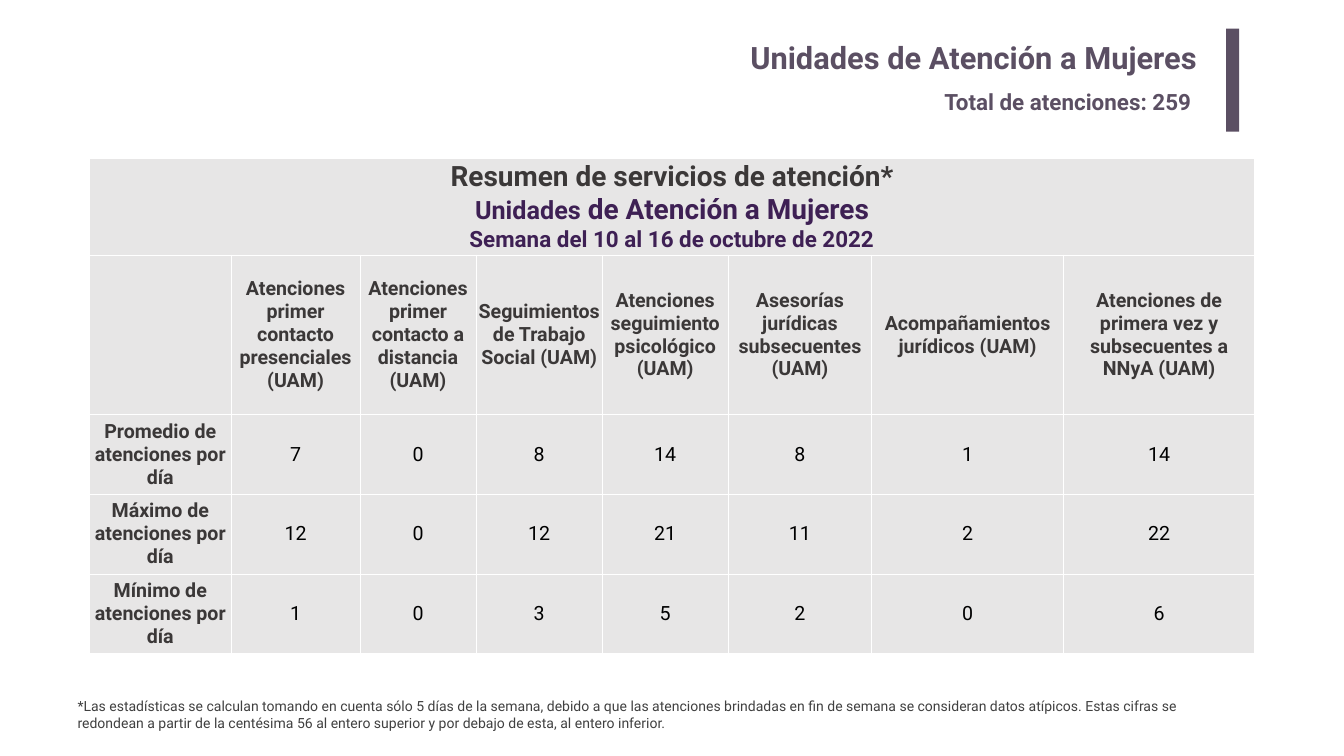
import pptx
import pptx.util
import pptx.dml.color
import pptx.enum.text
import pptx.enum.shapes
import pptx.oxml

Inches = pptx.util.Inches
ALIGN = pptx.enum.text.PP_ALIGN
ANCHOR = pptx.enum.text.MSO_ANCHOR
AUTO = pptx.enum.text.MSO_AUTO_SIZE

PLUM, PURPLE, DARK, GREY = "5B4F63", "3E2054", "3B3838", "E7E6E6"
COLS = [2.82, 2.55, 2.31, 2.5, 2.5, 2.85, 3.8, 3.8]
ROWS = [1.91, 3.17, 1.58, 1.58, 1.58]
HEADS = [
    "",
    "Atenciones primer contacto presenciales (UAM)",
    "Atenciones primer contacto a distancia (UAM)",
    "Seguimientos de Trabajo Social (UAM)",
    "Atenciones seguimiento psicológico (UAM)",
    "Asesorías jurídicas subsecuentes (UAM)",
    "Acompañamientos jurídicos (UAM)",
    "Atenciones de primera vez y subsecuentes a NNyA (UAM)",
]
STATS = [
    ("Promedio", [7, 0, 8, 14, 8, 1, 14]),
    ("Máximo", [12, 0, 12, 21, 11, 2, 22]),
    ("Mínimo", [1, 0, 3, 5, 2, 0, 6]),
]
NOTE = (
    "*Las estadísticas se calculan tomando en cuenta sólo 5 días de la semana, "
    "debido a que las atenciones brindadas en fin de semana se consideran datos "
    "atípicos. Estas cifras se redondean a partir de la centésima 56 al entero "
    "superior y por debajo de esta, al entero inferior."
)


def color(code):
    return pptx.dml.color.RGBColor.from_string(code)


def style(font, size, code, bold=False):
    font.name = "Roboto"
    font.size = pptx.util.Pt(size)
    font.bold = bold
    font.color.rgb = color(code)


def place(shape, box):
    shape.left, shape.top, shape.width, shape.height = map(Inches, box)


def write(shape, text, size, code, bold=False, align=ALIGN.LEFT, pad=(0.1, 0.05)):
    frame = shape.text_frame
    frame.word_wrap = True
    frame.auto_size = AUTO.NONE
    frame.vertical_anchor = ANCHOR.TOP
    frame.margin_left = frame.margin_right = Inches(pad[0])
    frame.margin_top = frame.margin_bottom = Inches(pad[1])
    para = frame.paragraphs[0]
    para.text = text
    para.alignment = align
    style(para.font, size, code, bold)


def add_text(slide, box, *args, **opts):
    write(slide.shapes.add_textbox(*map(Inches, box)), *args, **opts)


def add_bar(slide, box):
    bar = slide.shapes.add_shape(
        pptx.enum.shapes.MSO_SHAPE.RECTANGLE, *map(Inches, box))
    bar.shadow.inherit = False
    bar.fill.solid()
    bar.fill.fore_color.rgb = color(PLUM)
    bar.line.fill.background()


def edge(cell):
    props = cell._tc.get_or_add_tcPr()
    space = pptx.oxml.ns.nsdecls("a")
    for spot, side in enumerate(("lnL", "lnR", "lnT", "lnB")):
        props.insert(spot, pptx.oxml.parse_xml(
            f'<a:{side} {space} w="12700"><a:solidFill>'
            f'<a:srgbClr val="FFFFFF"/></a:solidFill></a:{side}>'))


def dress(cell):
    cell.fill.solid()
    cell.fill.fore_color.rgb = color(GREY)
    cell.vertical_anchor = ANCHOR.MIDDLE
    cell.margin_left = cell.margin_right = 0
    cell.margin_top = cell.margin_bottom = 0
    edge(cell)


def fill_cell(cell, text, code=DARK, bold=True):
    para = cell.text_frame.paragraphs[0]
    para.text = text
    para.alignment = ALIGN.CENTER
    style(para.font, 28, code, bold)


def fill_head(cell):
    lines = [
        [("Resumen de servicios de atención*", 40, DARK)],
        [("Unidades", 36, PURPLE), (" de Atención a Mujeres", 40, PURPLE)],
        [("Semana del 10 al 16 de octubre de 2022", 32, PURPLE)],
    ]
    frame = cell.text_frame
    for spot, line in enumerate(lines):
        para = frame.add_paragraph() if spot else frame.paragraphs[0]
        para.alignment = ALIGN.CENTER
        if len(line) == 1:
            style(para.font, *line[0][1:], True)
        for text, size, code in line:
            run = para.add_run()
            run.text = text
            if len(line) > 1:
                style(run.font, size, code, True)


def add_grid(slide):
    box = (1.77, 3.15, sum(COLS), sum(ROWS))
    table = slide.shapes.add_table(
        len(ROWS), len(COLS), *map(Inches, box)).table
    table.first_row = table.horz_banding = False
    for col, width in zip(table.columns, COLS):
        col.width = Inches(width)
    for row, height in zip(table.rows, ROWS):
        row.height = Inches(height)
    for cell in table.iter_cells():
        dress(cell)
    table.cell(0, 0).merge(table.cell(0, len(COLS) - 1))
    fill_head(table.cell(0, 0))
    for col, text in enumerate(HEADS):
        fill_cell(table.cell(1, col), text)
    for row, (name, values) in enumerate(STATS, 2):
        fill_cell(table.cell(row, 0), f"{name} de atenciones por día")
        for col, value in enumerate(values, 1):
            fill_cell(table.cell(row, col), str(value), "000000", False)


def main():
    deck = pptx.Presentation()
    deck.slide_width, deck.slide_height = Inches(26.67), Inches(15)
    slide = deck.slides.add_slide(deck.slide_layouts[5])
    title = slide.shapes.title
    place(title, (3.66, 0.67, 20.3, 1.02))
    write(title, "Unidades de Atención a Mujeres", 44, PLUM, True,
          ALIGN.RIGHT, (0.2, 0.1))
    add_grid(slide)
    add_text(slide, (1.44, 13.79, 22.77, 0.77), NOTE, 20, "404040")
    add_bar(slide, (24.33, 0.57, 0.26, 2.04))
    add_text(slide, (18.64, 1.69, 5.38, 0.64), "Total de atenciones: 259",
             32, PLUM, True)
    deck.save("out.pptx")


if __name__ == "__main__":
    main()
